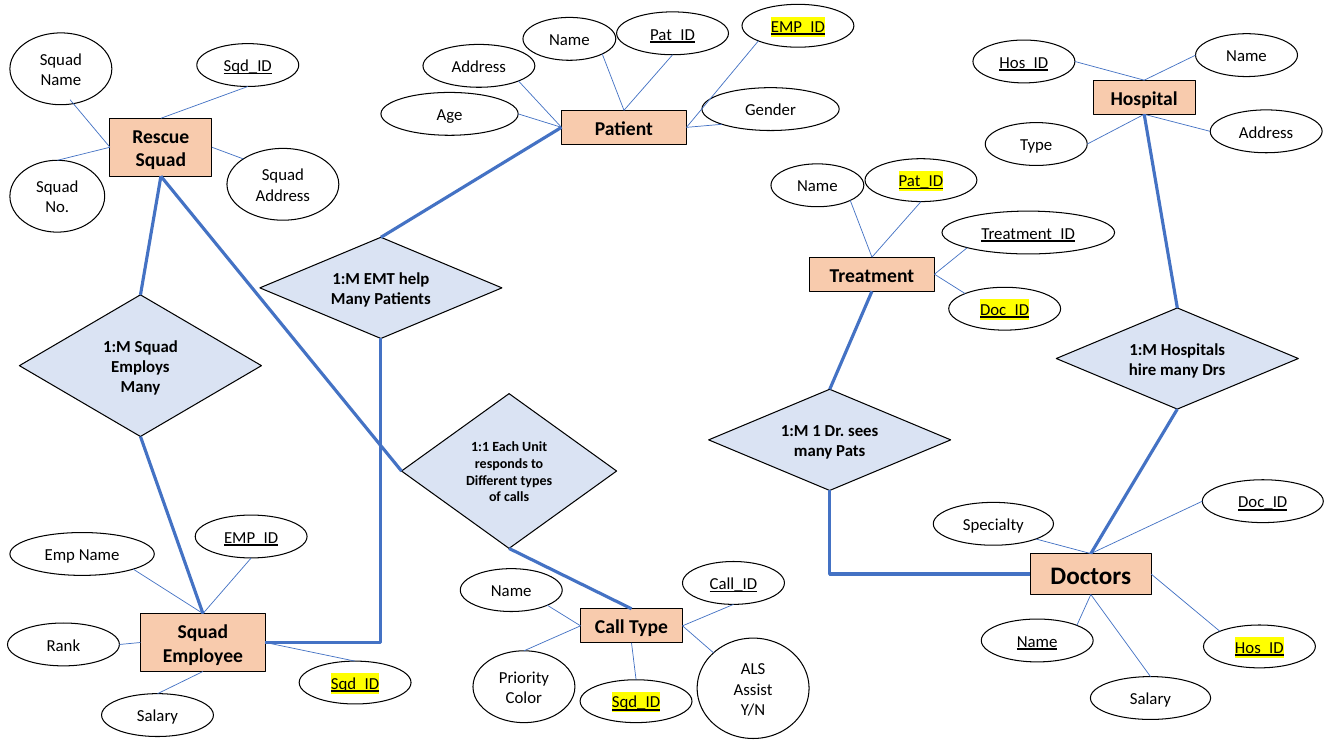
import pptx
import pptx.util
import pptx.dml.color
import pptx.enum.shapes
import pptx.enum.text
import pptx.oxml.ns
import lxml.etree

Cm = pptx.util.Cm
Pt = pptx.util.Pt
SHAPE = pptx.enum.shapes.MSO_SHAPE
CONNECTOR = pptx.enum.shapes.MSO_CONNECTOR
qn = pptx.oxml.ns.qn

deck = pptx.Presentation()
deck.slide_width, deck.slide_height = Cm(33.87), Cm(19.05)
slide = deck.slides.add_slide(deck.slide_layouts[6])


def color(hex_value):
    return pptx.dml.color.RGBColor.from_string(hex_value)


def add_node(text, box, kind, fill=None, size=12, bold=False, underline=False, highlight=None):
    node = slide.shapes.add_shape(kind, *[Cm(length) for length in box])
    node.shadow.inherit = False
    if fill:
        node.fill.solid()
        node.fill.fore_color.rgb = color(fill)
    else:
        node.fill.background()
    node.line.color.rgb = color("000000")
    node.line.width = Pt(0.75)
    frame = node.text_frame
    frame.word_wrap = True
    frame.auto_size = pptx.enum.text.MSO_AUTO_SIZE.SHAPE_TO_FIT_TEXT
    frame.paragraphs[0].alignment = pptx.enum.text.PP_ALIGN.CENTER
    run = frame.paragraphs[0].add_run()
    run.text = text
    run.font.name = "Calibri"
    run.font.size = Pt(size)
    run.font.bold = bold
    run.font.underline = underline
    run.font.color.rgb = color("000000")
    if highlight:
        mark = lxml.etree.Element(qn("a:highlight"))
        lxml.etree.SubElement(mark, qn("a:srgbClr"), val=highlight)
        run.font.fill  
        run._r.rPr.find(qn("a:solidFill")).addnext(mark)
    return node


NEAR, FAR = 0.146, 0.854
sites = {
    "top": (0.5, 0), "left": (0, 0.5), "bottom": (0.5, 1), "right": (1, 0.5),
    "top left": (NEAR, NEAR), "top right": (FAR, NEAR),
    "bottom left": (NEAR, FAR), "bottom right": (FAR, FAR),
    "low": (0.59, 0.93),
}

entities = {
    "Rescue Squad": ((2.77, 2.98, 2.57, 1.46), 14, [
        ("Squad Name", (0.25, 0.83, 2.57, 1.81), "", "left", "low"),
        ("Sqd_ID", (4.96, 1.1, 2.57, 1.08), "key", "top", "bottom"),
        ("Squad Address", (5.72, 3.74, 2.82, 1.81), "", "right", "top left"),
        ("Squad No.", (0.25, 4.04, 2.39, 1.81), "", "left", "top"),
    ]),
    "Doctors": ((25.97, 13.95, 3.04, 1.03), 18, [
        ("Specialty", (23.52, 12.66, 3.03, 1.08), "", "top", "bottom right"),
        ("Name", (24.73, 15.6, 2.82, 1.08), "key", "bottom", "top right"),
        ("Doc_ID", (30.3, 12.09, 3.05, 1.08), "key", "top", "left"),
        ("Hos_ID", (30.33, 15.75, 2.82, 1.08), "foreign", "right", "top left"),
        ("Salary", (27.48, 17.05, 3.03, 1.08), "", "bottom", "top"),
    ]),
    "Squad Employee": ((3.54, 15.46, 3.15, 1.46), 14, [
        ("Emp Name", (0.25, 13.42, 3.64, 1.08), "", "top", "bottom right"),
        ("EMP_ID", (4.92, 12.98, 2.82, 1.08), "key", "top", "bottom"),
        ("Salary", (2.56, 17.48, 2.82, 1.08), "", "bottom", "top"),
        ("Sqd_ID", (7.54, 16.66, 2.82, 1.08), "foreign", "right", "top"),
        ("Rank", (0.19, 15.7, 2.82, 1.08), "", "left", "right"),
    ]),
    "Patient": ((14.15, 2.78, 3.15, 0.86), 14, [
        ("Name", (13.18, 0.44, 2.34, 1.08), "", "top", "bottom right"),
        ("Age", (9.6, 2.33, 3.46, 1.08), "", "left", "right"),
        ("Pat_ID", (15.54, 0.3, 2.82, 1.08), "key", "top", "bottom"),
        ("Address", (10.66, 1.12, 2.82, 1.08), "", "left", "bottom right"),
        ("EMP_ID", (18.7, 0.11, 2.82, 1.08), "foreign", "right", "bottom left"),
        ("Gender", (17.69, 2.21, 3.46, 1.08), "", "right", "bottom left"),
    ]),
    "Call Type": ((14.63, 15.34, 2.57, 0.86), 14, [
        ("Name", (11.6, 14.33, 2.57, 1.08), "", "left", "bottom right"),
        ("Call_ID", (17.2, 14.15, 2.57, 1.08), "key", "right", "bottom"),
        ("ALS Assist Y/N", (17.57, 16.08, 2.82, 2.53), "", "right", "top left"),
        ("Priority Color", (11.92, 16.4, 2.57, 1.81), "", "left", "top"),
        ("Sqd_ID", (14.62, 17.13, 2.82, 1.08), "foreign", "bottom", "top"),
    ]),
    "Hospital": ((27.55, 2.02, 2.57, 0.86), 14, [
        ("Hos_ID", (24.52, 1.01, 2.57, 1.08), "key", "top", "right"),
        ("Name", (30.13, 0.85, 2.57, 1.08), "", "top", "left"),
        ("Address", (30.5, 2.77, 2.82, 1.08), "", "bottom", "left"),
        ("Type", (24.83, 3.09, 2.57, 1.08), "", "bottom", "right"),
    ]),
    "Treatment": ((20.4, 6.48, 3.15, 0.86), 14, [
        ("Name", (19.43, 4.13, 2.34, 1.08), "", "top", "bottom right"),
        ("Pat_ID", (21.8, 4, 2.82, 1.08), "foreign", "top", "bottom"),
        ("Doc_ID", (23.91, 7.24, 2.82, 1.08), "foreign", "right", "top left"),
        ("Treatment_ID", (23.74, 5.32, 4.35, 1.08), "key", "right", "bottom left"),
    ]),
}

relations = [
    ("1:M Hospitals hire many Drs", (26.62, 7.76, 6.1, 2.55), 12,
     [("Hospital", "bottom", "top"), ("Doctors", "top", "bottom")]),
    ("1:M Squad Employs Many", (0.49, 7.43, 6.1, 3.57), 12,
     [("Rescue Squad", "bottom", "top"), ("Squad Employee", "top", "bottom")]),
    ("1:M EMT help Many Patients", (6.55, 5.98, 6.1, 2.55), 12,
     [("Patient", "left", "top"), ("Squad Employee", "right", "bottom")]),
    ("1:M 1 Dr. sees many Pats", (17.86, 9.81, 6.1, 2.55), 12,
     [("Treatment", "bottom", "top"), ("Doctors", "left", "bottom")]),
    ("1:1 Each Unit responds to Different types of calls", (10.12, 9.92, 5.42, 3.9), 10,
     [("Rescue Squad", "bottom", "left"), ("Call Type", "top", "bottom")]),
]

key_formats = {
    "": {},
    "key": {"underline": True},
    "foreign": {"underline": True, "highlight": "FFFF00"},
}

entity_nodes = {}
links = []
for entity, (box, size, attributes) in entities.items():
    entity_nodes[entity] = add_node(entity, box, SHAPE.RECTANGLE, fill="F8CBAD", size=size, bold=True)
    for attribute, attribute_box, key, side, site in attributes:
        oval = add_node(attribute, attribute_box, SHAPE.OVAL, **key_formats[key])
        links.append((entity_nodes[entity], side, oval, site, 0.5))

for relation, box, size, ends in relations:
    diamond = add_node(relation, box, SHAPE.DIAMOND, fill="DAE3F3", size=size, bold=True)
    for entity, side, site in ends:
        links.append((entity_nodes[entity], side, diamond, site, 2.25))

for entity_node, side, other_node, site, weight in links:
    ends = []
    for node, place in ((entity_node, side), (other_node, site)):
        across, down = sites[place]
        ends += [int(node.left + across * node.width), int(node.top + down * node.height)]
    bent = weight > 1 and side in ("left", "right") and site == "bottom"
    link = slide.shapes.add_connector(CONNECTOR.ELBOW if bent else CONNECTOR.STRAIGHT, *ends)
    link.line.color.rgb = color("4472C4")
    link.line.width = Pt(weight)
    properties = link._element.spPr
    lxml.etree.SubElement(properties, qn("a:effectLst"))
    if bent:
        outline = properties.find(qn("a:prstGeom"))
        outline.set("prst", "bentConnector2")

deck.save("out.pptx")
